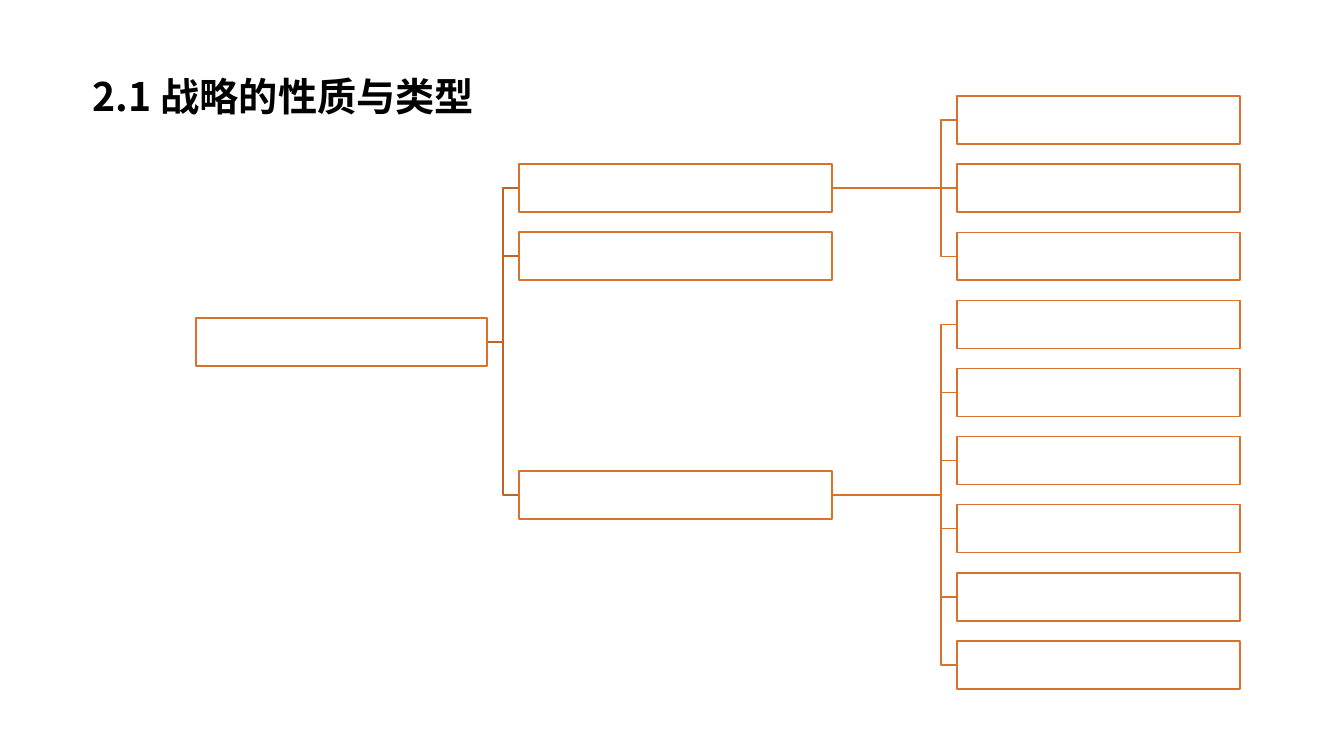
from dataclasses import dataclass

from pptx import Presentation
from pptx.dml.color import RGBColor
from pptx.enum.shapes import MSO_SHAPE
from pptx.util import Pt

TITLE = "2.1 战略的性质与类型"
TITLE_BOX = (81, 66, 973, 59)

# Tree columns as (left, width); branches as (centre y, leaf rows)
ROOT_COL, BRANCH_COL, LEAF_COL = (196, 291), (519, 313), (957, 283)
ROOT_Y = 342
BRANCHES = [(188, range(0, 3)), (256, range(0)), (495, range(3, 9))]
FIRST_LEAF_Y, LAST_LEAF_Y, LEAF_COUNT = 120, 665, 9
BOX_HEIGHT, ELBOW = 48, 16

EMU_PER_PX = 914400 / 100.8


@dataclass(frozen=True)
class Theme:
    font: str = "Noto Sans CJK SC"
    title_size: Pt = Pt(28)
    text: RGBColor = RGBColor(0, 0, 0)
    box_fill: RGBColor = RGBColor(0xFF, 0xFF, 0xFF)
    leaf_line: RGBColor = RGBColor(0xD7, 0x71, 0x2C)
    root_line: RGBColor = RGBColor(0xBE, 0x64, 0x27)
    line_width: Pt = Pt(1)


THEME = Theme()


def px(n):
    return round(n * EMU_PER_PX)


def set_outline(s, color):
    s.line.color.rgb = color
    s.line.width = THEME.line_width
    s.shadow.inherit = False


def add_box(slide, column, y):
    left, width = column
    s = slide.shapes.add_shape(MSO_SHAPE.RECTANGLE, px(left), px(y - BOX_HEIGHT / 2),
                               px(width), px(BOX_HEIGHT))
    s.fill.solid()
    s.fill.fore_color.rgb = THEME.box_fill
    set_outline(s, THEME.leaf_line)


def add_link(slide, from_col, from_y, to_col, to_y, color):
    """Draw an elbow that turns just before the target column."""
    start, end = sum(from_col), to_col[0]
    turn = end - ELBOW
    path = slide.shapes.build_freeform(px(start), px(from_y))
    path.add_line_segments([(px(turn), px(from_y)), (px(turn), px(to_y)),
                            (px(end), px(to_y))], close=False)
    s = path.convert_to_shape()
    s.fill.background()
    set_outline(s, color)


def add_title(slide):
    s = slide.shapes.add_textbox(*map(px, TITLE_BOX))
    tf = s.text_frame
    tf.word_wrap = True
    tf.margin_left = tf.margin_right = px(12)
    tf.margin_top = tf.margin_bottom = px(6)
    p = tf.paragraphs[0]
    p.text = TITLE
    p.font.name = THEME.font
    p.font.size = THEME.title_size
    p.font.bold = True
    p.font.color.rgb = THEME.text


def main():
    prs = Presentation()
    prs.slide_width, prs.slide_height = px(1344), px(756)
    slide = prs.slides.add_slide(prs.slide_layouts[6])

    pitch = (LAST_LEAF_Y - FIRST_LEAF_Y) / (LEAF_COUNT - 1)
    leaf_ys = [FIRST_LEAF_Y + row * pitch for row in range(LEAF_COUNT)]

    for y, rows in BRANCHES:
        add_link(slide, ROOT_COL, ROOT_Y, BRANCH_COL, y, THEME.root_line)
        for row in rows:
            add_link(slide, BRANCH_COL, y, LEAF_COL, leaf_ys[row], THEME.leaf_line)

    add_box(slide, ROOT_COL, ROOT_Y)
    for y, _ in BRANCHES:
        add_box(slide, BRANCH_COL, y)
    for y in leaf_ys:
        add_box(slide, LEAF_COL, y)

    add_title(slide)
    prs.save("out.pptx")


if __name__ == "__main__":
    main()
